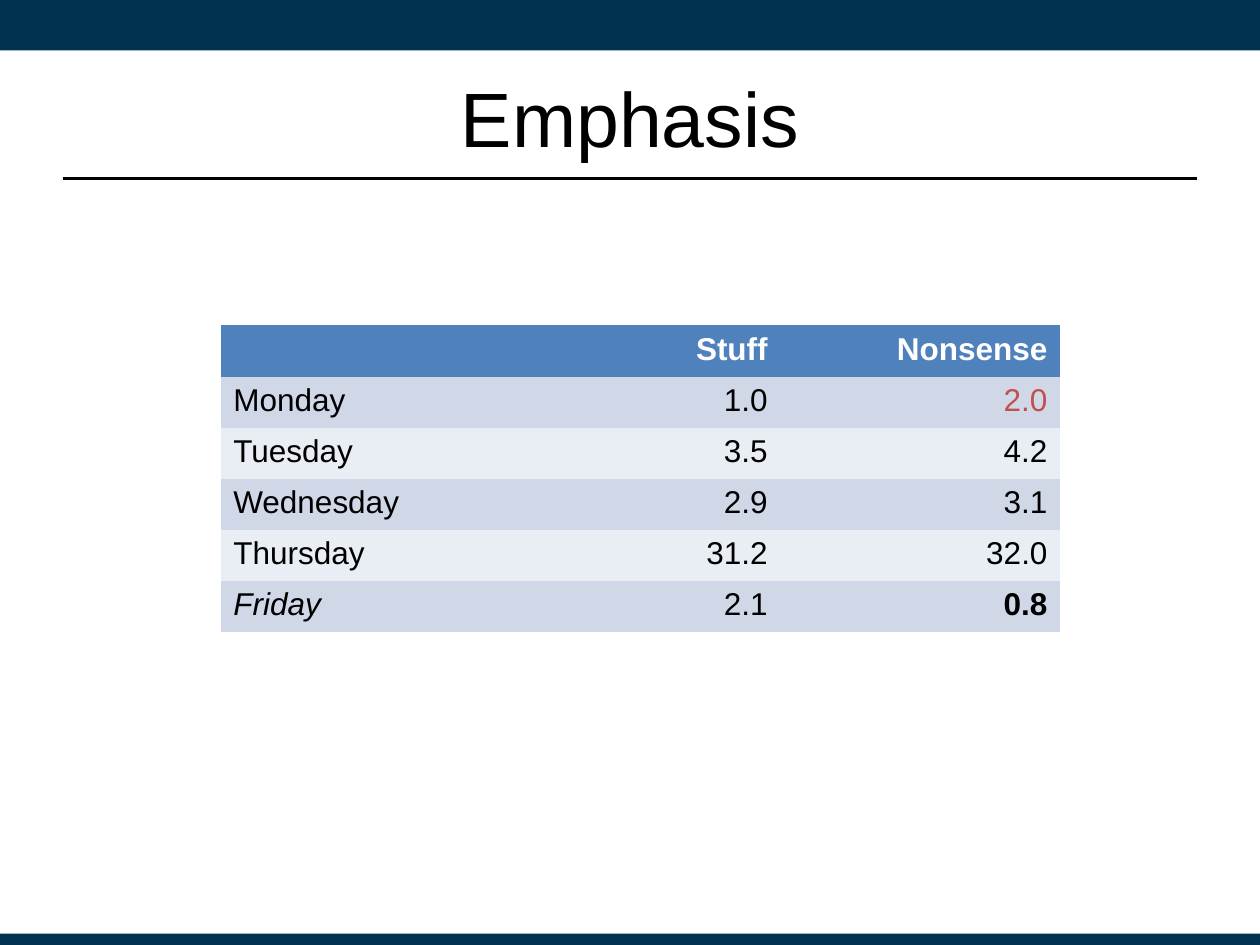
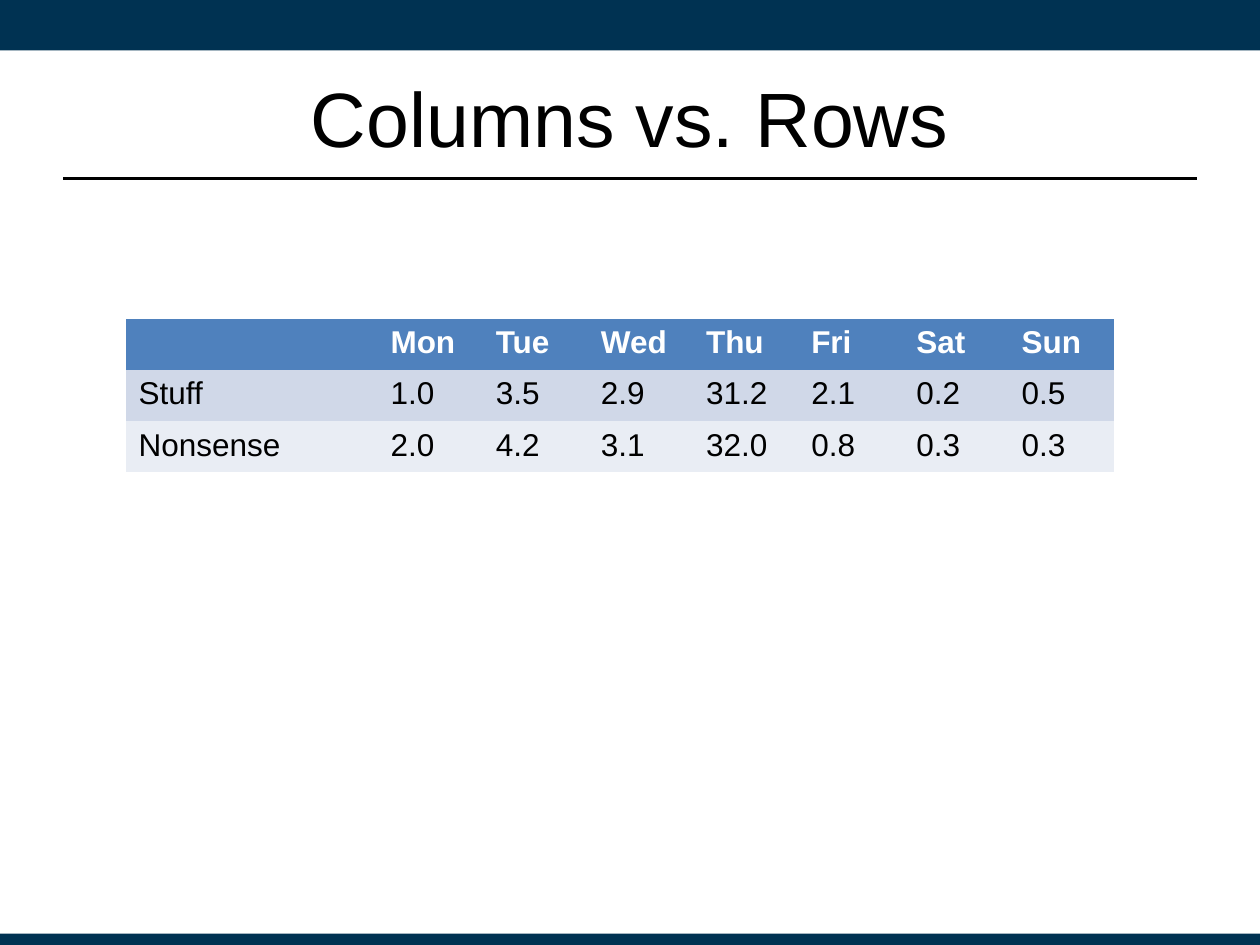
from pptx import Presentation
from pptx.dml.color import RGBColor
from pptx.enum import shapes, text
from pptx.oxml import ns, xmlchemy
from pptx.util import Cm, Pt

# Shared look
FONT = "Arial"
NAVY, BLACK, WHITE = "003252", "000000", "FFFFFF"
HEADER_FILL, ROW_FILLS = "4F81BD", ("D0D8E8", "E9EDF4")
ACCENT_RED = "C0504D"
SLIDE_WIDTH, SLIDE_HEIGHT, MARGIN = 25.4, 19.05, 1.27
ROW_HEIGHT = 1.03
PLAIN_TABLE_STYLE = "{2D5ABB26-0587-4C30-8999-92F81FD0307C}"
LEFT, CENTER, RIGHT = (text.PP_ALIGN.LEFT, text.PP_ALIGN.CENTER,
                       text.PP_ALIGN.RIGHT)


def color(hex_value):
    return RGBColor.from_string(hex_value)


def style(paragraph, size, hex_value, align=LEFT, bold=False, italic=False):
    paragraph.alignment = align
    font = paragraph.font
    font.name, font.size = FONT, Pt(size)
    font.bold, font.italic = bold, italic
    font.color.rgb = color(hex_value)


def add_band(slide, top, height):
    band = slide.shapes.add_shape(shapes.MSO_SHAPE.RECTANGLE, 0, Cm(top),
                                  Cm(SLIDE_WIDTH), Cm(height))
    band.shadow.inherit = False
    band.fill.solid()
    band.fill.fore_color.rgb = color(NAVY)
    band.line.fill.background()


def add_title_rule(slide, top):
    rule = slide.shapes.add_connector(
        shapes.MSO_CONNECTOR.STRAIGHT, Cm(MARGIN), Cm(top),
        Cm(SLIDE_WIDTH - MARGIN), Cm(top))
    rule.line.color.rgb = color(BLACK)
    rule.line.width = Pt(1.25)
    rule._element.spPr.append(xmlchemy.OxmlElement("a:effectLst"))


def add_title(slide, wording):
    box = slide.shapes.add_textbox(Cm(MARGIN), Cm(0.76),
                                   Cm(SLIDE_WIDTH - 2 * MARGIN), Cm(3.18))
    frame = box.text_frame
    frame.word_wrap = True
    frame.vertical_anchor = text.MSO_ANCHOR.MIDDLE
    frame.text = wording
    style(frame.paragraphs[0], 44, BLACK, CENTER)


def add_titled_slide(deck, wording):
    slide = deck.slides.add_slide(deck.slide_layouts[6])
    add_band(slide, 0, 1.02)
    add_band(slide, 18.82, 0.25)
    add_title_rule(slide, 3.6)
    add_title(slide, wording)
    return slide


def add_data_table(slide, left, top, widths, rows, number_align, emphasis=None):
    """Emphasis maps (row, column) to the style settings of that cell."""
    emphasis = emphasis or {}
    frame = slide.shapes.add_table(len(rows), len(widths), Cm(left), Cm(top),
                                   Cm(sum(widths)), Cm(ROW_HEIGHT * len(rows)))
    table = frame.table
    table._tbl.tblPr.find(ns.qn("a:tableStyleId")).text = PLAIN_TABLE_STYLE
    for column, width in zip(table.columns, widths):
        column.width = Cm(width)
    for r, values in enumerate(rows):
        table.rows[r].height = Cm(ROW_HEIGHT)
        is_header = r == 0
        for c, value in enumerate(values):
            cell = table.cell(r, c)
            cell.fill.solid()
            cell.fill.fore_color.rgb = color(
                HEADER_FILL if is_header else ROW_FILLS[(r - 1) % 2])
            cell.text = value
            look = {"hex_value": WHITE if is_header else BLACK,
                    "bold": is_header,
                    "align": number_align if c else LEFT}
            look.update(emphasis.get((r, c), {}))
            style(cell.text_frame.paragraphs[0], 18, **look)


def main():
    deck = Presentation()
    deck.slide_width, deck.slide_height = Cm(SLIDE_WIDTH), Cm(SLIDE_HEIGHT)

    # Days as rows, with single cells emphasised
    emphasis_slide = add_titled_slide(deck, "Emphasis")
    days_as_rows = [
        ("", "Stuff", "Nonsense"),
        ("Monday", "1.0", "2.0"),
        ("Tuesday", "3.5", "4.2"),
        ("Wednesday", "2.9", "3.1"),
        ("Thursday", "31.2", "32.0"),
        ("Friday", "2.1", "0.8"),
    ]
    add_data_table(emphasis_slide, 4.45, 6.56, [5.64] * 3, days_as_rows, RIGHT,
                   {(1, 2): {"hex_value": ACCENT_RED},
                    (5, 0): {"italic": True},
                    (5, 2): {"bold": True}})

    # Days as columns
    columns_slide = add_titled_slide(deck, "Columns vs. Rows")
    days_as_columns = [
        ("", "Mon", "Tue", "Wed", "Thu", "Fri", "Sat", "Sun"),
        ("Stuff", "1.0", "3.5", "2.9", "31.2", "2.1", "0.2", "0.5"),
        ("Nonsense", "2.0", "4.2", "3.1", "32.0", "0.8", "0.3", "0.3"),
    ]
    add_data_table(columns_slide, 2.54, 6.43, [5.08] + [2.12] * 7,
                   days_as_columns, LEFT)

    deck.save("out.pptx")


if __name__ == "__main__":
    main()
